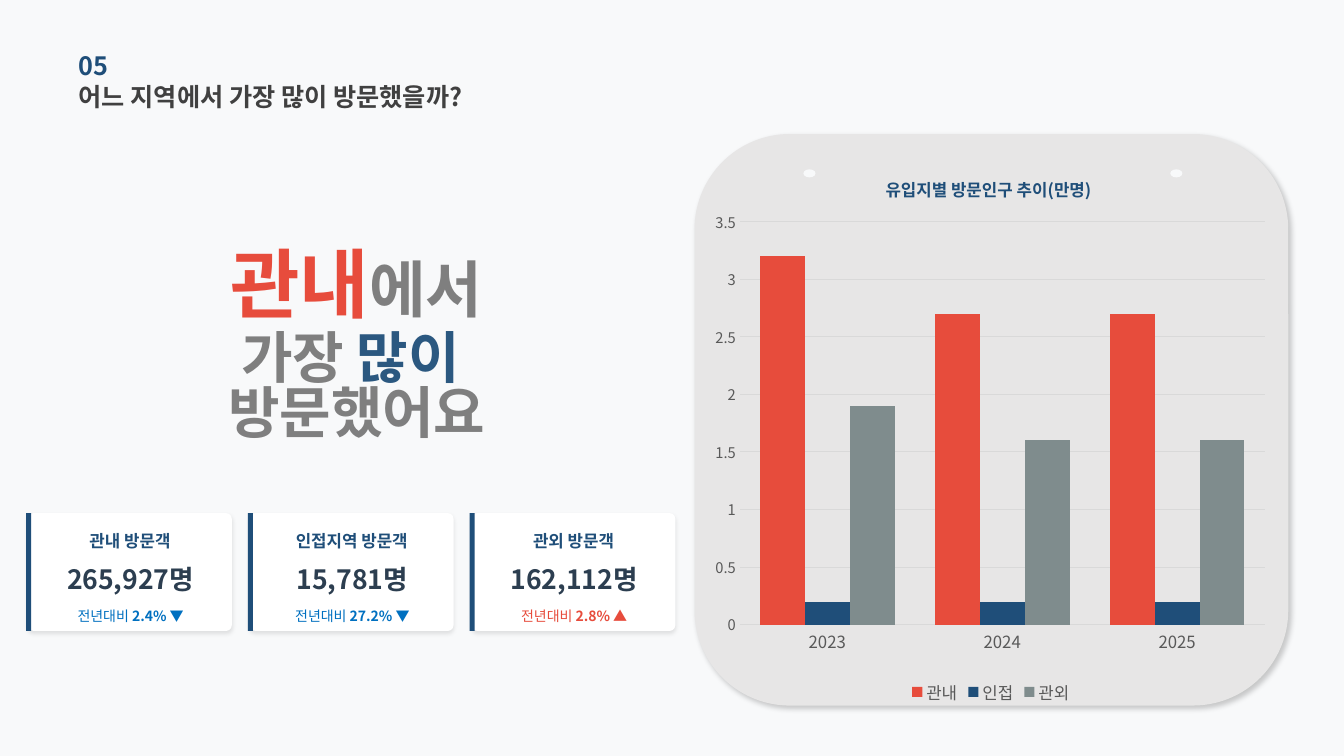
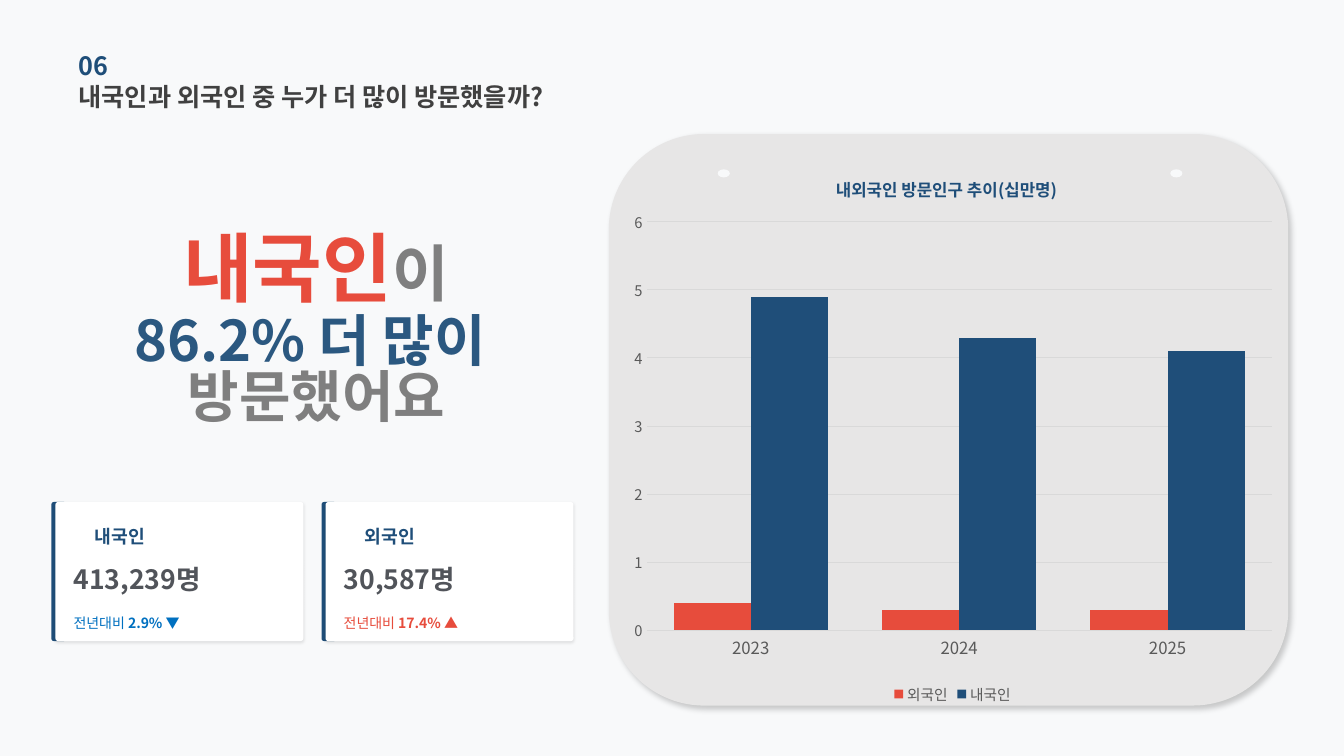
from dataclasses import dataclass

from lxml.etree import SubElement
from pptx import Presentation
from pptx.chart.data import CategoryChartData
from pptx.dml.color import RGBColor
from pptx.enum.chart import XL_CHART_TYPE, XL_LEGEND_POSITION, XL_TICK_MARK
from pptx.enum.shapes import MSO_SHAPE
from pptx.enum.text import MSO_ANCHOR, MSO_AUTO_SIZE, PP_ALIGN
from pptx.oxml import parse_xml
from pptx.oxml.ns import nsdecls, qn
from pptx.util import Emu, Inches, Pt

# Grid: every column and row is a tenth of an inch
CELL = Inches(0.1)
COLUMNS, ROWS = 133.33, 75
PANEL_RIGHT = 127.8


@dataclass(frozen=True)
class Theme:
    """Colours and type sizes of the deck."""
    font: str = "Noto Sans CJK KR"
    background: str = "F8F9FA"
    panel: str = "E7E6E6"
    card: str = "FFFFFF"
    navy: str = "1F4E79"
    blue: str = "2B5880"
    red: str = "E74C3C"
    down: str = "0070C0"
    slate: str = "7F8C8D"
    heading: str = "404040"
    muted: str = "7F7F7F"
    axis: str = "595959"
    grid: str = "D9D9D9"
    title_size: float = 18
    lead_size: float = 54
    particle_size: float = 44
    headline_size: float = 40
    number_size: float = 19
    change_size: float = 10
    chart_size: float = 12
    value_size: float = 10.5


@dataclass(frozen=True)
class CardStyle:
    """Size and text rows of one kind of card; rows are (top, height)."""
    width: float
    height: float
    corner: float
    shadow: tuple
    bar_shape: int
    bar_offset: float
    bar_width: float
    bar_in_front: bool
    align: int
    label_indent: float
    text_indent: float
    label_row: tuple
    number_row: tuple
    change_row: tuple
    label_size: float
    number_color: str


THEME = Theme()
CENTERED_CARD = CardStyle(
    width=20.2, height=11.7, corner=0.05, shadow=(10, 3, 2, 90),
    bar_shape=MSO_SHAPE.RECTANGLE, bar_offset=-0.2, bar_width=0.5, bar_in_front=True,
    align=PP_ALIGN.CENTER, label_indent=0, text_indent=0.1,
    label_row=(1.6, 2.2), number_row=(4.8, 3.4), change_row=(9.2, 2),
    label_size=12, number_color="2C3E50")
LEFT_CARD = CardStyle(
    width=24.6, height=13.8, corner=0.02, shadow=(10, 2, 1, 90),
    bar_shape=MSO_SHAPE.ROUNDED_RECTANGLE, bar_offset=-0.4, bar_width=1.5, bar_in_front=False,
    align=PP_ALIGN.LEFT, label_indent=3.9, text_indent=1.8,
    label_row=(2, 2.8), number_row=(5.7, 3.9), change_row=(9.7, 4.5),
    label_size=13, number_color="51545A")


def grid(*lengths):
    """Turn columns and rows into slide lengths."""
    return [Emu(round(length * CELL)) for length in lengths]


def format_font(font, size, color, bold=False):
    """Format a font for both Latin and Korean text."""
    font.size, font.bold, font.name = Pt(size), bold, THEME.font
    font.color.rgb = RGBColor.from_string(color)
    SubElement(font._rPr, qn("a:ea")).set("typeface", THEME.font)


def write_text(shape, lines, align=PP_ALIGN.LEFT, spacing=None):
    """Write lines of (text, size, colour, bold) runs without margins."""
    frame = shape.text_frame
    frame.word_wrap, frame.auto_size = True, MSO_AUTO_SIZE.NONE
    frame.vertical_anchor = MSO_ANCHOR.MIDDLE
    frame.margin_left = frame.margin_right = frame.margin_top = frame.margin_bottom = 0
    for index, runs in enumerate(lines):
        paragraph = frame.add_paragraph() if index else frame.paragraphs[0]
        paragraph.alignment = align
        paragraph.line_spacing = spacing
        for text, size, color, bold in runs:
            run = paragraph.add_run()
            run.text = text
            format_font(run.font, size, color, bold)


def place_in_chart(element, **shares):
    """Fix a chart part at shares (x, y, w, h) of the chart's size."""
    old = element.find(qn("c:layout"))
    if old is not None:
        element.remove(old)
    target = '<c:layoutTarget val="inner"/>' if "w" in shares else ""
    modes = "".join(f'<c:{key}Mode val="edge"/>' for key in "xy")
    values = "".join(f'<c:{key} val="{value}"/>' for key, value in shares.items())
    layout = parse_xml(f'<c:layout {nsdecls("c")}><c:manualLayout>{target}{modes}{values}'
                       "</c:manualLayout></c:layout>")
    element.insert(0 if element.find(qn("c:tx")) is None else 1, layout)


class Deck:
    """Holds the presentation, its style and the current slide."""

    def __init__(self):
        self.presentation = Presentation()
        self.presentation.slide_width, self.presentation.slide_height = grid(COLUMNS, ROWS)
        fill = self.presentation.slide_master.background.fill
        fill.solid()
        fill.fore_color.rgb = RGBColor.from_string(THEME.background)
        self.slide = None

    def add_slide(self, number, title):
        self.slide = self.presentation.slides.add_slide(self.presentation.slide_layouts[5])
        shape = self.slide.shapes.title
        shape.left, shape.top, shape.width, shape.height = grid(7.8, 7.5, 52.8, 4.1)
        write_text(shape, [[(title, THEME.title_size, THEME.heading, True)]])
        self.text((7.8, 4.4, 45.2, 4.1), [[(number, THEME.title_size, THEME.navy, True)]])

    def text(self, box, lines, **options):
        write_text(self.slide.shapes.add_textbox(*grid(*box)), lines, **options)

    def shape(self, kind, box, color, corner=None, shadow=None):
        shape = self.slide.shapes.add_shape(kind, *grid(*box))
        shape.shadow.inherit = False
        shape.fill.solid()
        shape.fill.fore_color.rgb = RGBColor.from_string(color)
        shape.line.fill.background()
        if corner is not None:
            shape.adjustments[0] = corner
        if shadow:
            opacity, blur, distance, angle = shadow
            effects = shape._element.spPr.find(qn("a:effectLst"))
            effects.append(parse_xml(
                f'<a:outerShdw {nsdecls("a")} blurRad="{Pt(blur)}" dist="{Pt(distance)}" '
                f'dir="{angle * 60000}" algn="ctr" rotWithShape="0"><a:srgbClr val="000000">'
                f'<a:alpha val="{opacity * 1000}"/></a:srgbClr></a:outerShdw>'))

    def panel(self, left):
        """Grey board with two pin holes."""
        self.shape(MSO_SHAPE.ROUNDED_RECTANGLE, (left, 13.3, PANEL_RIGHT - left, 56.7),
                   THEME.panel, shadow=(20, 4, 3, 45))
        for hole_left in (left + 10.8, PANEL_RIGHT - 11.7):
            self.shape(MSO_SHAPE.OVAL, (hole_left, 16.8, 1.2, 0.8), THEME.background)

    def headline(self, left, top, subject, particle, lines):
        """Large statement: a coloured subject, then two lines below."""
        self.text((left + 6.1, top, 42.9, 4.8),
                  [[(subject, THEME.lead_size, THEME.red, True),
                    (particle, THEME.particle_size, THEME.muted, True)]], align=PP_ALIGN.CENTER)
        self.text((left, top + 8.8, 55.2, 8.4),
                  [[(text, THEME.headline_size, color, True) for text, color in line]
                   for line in lines], align=PP_ALIGN.CENTER, spacing=0.82)

    def card(self, style, left, top, label, number, change, color):
        def bar():
            self.shape(style.bar_shape, (left + style.bar_offset, top, style.bar_width,
                                         style.height), THEME.navy)

        if not style.bar_in_front:
            bar()
        self.shape(MSO_SHAPE.ROUNDED_RECTANGLE, (left, top, style.width, style.height),
                   THEME.card, style.corner, style.shadow)
        rows = [
            (style.label_indent, style.label_row, [(label, style.label_size, THEME.navy, True)]),
            (style.text_indent, style.number_row,
             [(number, THEME.number_size, style.number_color, True)]),
            (style.text_indent, style.change_row,
             [("전년대비 ", THEME.change_size, color, False),
              (change, THEME.change_size, color, True)]),
        ]
        for indent, (offset, height), runs in rows:
            self.text((left + indent, top + offset, style.width - indent, height),
                      [runs], align=style.align)
        if style.bar_in_front:
            bar()

    def cards(self, style, left, top, pitch, entries):
        for index, entry in enumerate(entries):
            self.card(style, left + index * pitch, top, *entry)

    def chart(self, box, title, series, gap, maximum, step, legend_size, title_x, plot):
        data = CategoryChartData()
        data.categories = ["2023", "2024", "2025"]
        for name, values, _ in series:
            data.add_series(name, values)
        chart = self.slide.shapes.add_chart(
            XL_CHART_TYPE.COLUMN_CLUSTERED, *grid(*box), data).chart
        format_font(chart.font, THEME.change_size, THEME.axis)

        # Title and legend
        chart.has_title = True
        paragraph = chart.chart_title.text_frame.paragraphs[0]
        run = paragraph.add_run()
        run.text = title
        format_font(run.font, THEME.chart_size, THEME.navy, True)
        chart.chart_title.include_in_layout = False
        place_in_chart(chart.chart_title._element, x=title_x, y=0.04)
        chart.has_legend = True
        chart.legend.position = XL_LEGEND_POSITION.BOTTOM
        chart.legend.include_in_layout = False
        format_font(chart.legend.font, legend_size, THEME.axis)

        # Axes
        category_axis, value_axis = chart.category_axis, chart.value_axis
        value_axis.minimum_scale, value_axis.maximum_scale = 0, maximum
        value_axis.major_unit = step
        value_axis.has_major_gridlines = True
        value_axis.format.line.fill.background()
        for axis, size in ((category_axis, THEME.chart_size), (value_axis, THEME.value_size)):
            axis.major_tick_mark = axis.minor_tick_mark = XL_TICK_MARK.NONE
            format_font(axis.tick_labels.font, size, THEME.axis)
        for line in (category_axis.format.line, value_axis.major_gridlines.format.line):
            line.color.rgb = RGBColor.from_string(THEME.grid)
            line.width = Pt(0.75)

        # Columns
        columns = chart.plots[0]
        columns.gap_width, columns.overlap, columns.vary_by_categories = gap, 0, False
        for column, (_, _, color) in zip(columns.series, series):
            column.format.fill.solid()
            column.format.fill.fore_color.rgb = RGBColor.from_string(color)
        place_in_chart(chart._chartSpace.chart.plotArea, **plot)


def add_region_slide(deck):
    deck.add_slide("05", "어느 지역에서 가장 많이 방문했을까?")
    deck.panel(68.9)
    deck.headline(7.8, 25.6, "관내", "에서",
                  [[("가장", THEME.muted), (" 많이 ", THEME.blue)], [("방문했어요", THEME.muted)]])
    deck.cards(CENTERED_CARD, 2.8, 50.9, 22, [
        ("관내 방문객", "265,927명", "2.4% ▼", THEME.down),
        ("인접지역 방문객", "15,781명", "27.2% ▼", THEME.down),
        ("관외 방문객", "162,112명", "2.8% ▲", THEME.red)])
    deck.chart((70, 14.8, 56.6, 55.5), "유입지별 방문인구 추이(만명)", [
        ("관내", (3.2, 2.7, 2.7), THEME.red),
        ("인접", (0.2, 0.2, 0.2), THEME.navy),
        ("관외", (1.9, 1.6, 1.6), THEME.slate)],
        gap=90, maximum=3.5, step=0.5, legend_size=THEME.chart_size, title_x=0.31,
        plot={"x": 0.06, "y": 0.13, "w": 0.92, "h": 0.72})


def add_nationality_slide(deck):
    deck.add_slide("06", "내국인과 외국인 중 누가 더 많이 방문했을까?")
    deck.panel(60.4)
    deck.headline(3.8, 24, "내국인", "이",
                  [[("86.2% 더 많이 ", THEME.blue)], [("방문했어요", THEME.muted)]])
    deck.cards(LEFT_CARD, 5.5, 49.8, 26.8, [
        ("내국인", "413,239명", "2.9% ▼", THEME.down),
        ("외국인", "30,587명", "17.4% ▲", THEME.red)])
    deck.chart((61.5, 14.8, 66, 55.5), "내외국인 방문인구 추이(십만명)", [
        ("외국인", (0.4, 0.3, 0.3), THEME.red),
        ("내국인", (4.9, 4.3, 4.1), THEME.navy)],
        gap=70, maximum=6, step=1, legend_size=THEME.value_size, title_x=0.32,
        plot={"x": 0.04, "y": 0.13, "w": 0.94, "h": 0.73})


def main():
    deck = Deck()
    add_region_slide(deck)
    add_nationality_slide(deck)
    deck.presentation.save("out.pptx")


if __name__ == "__main__":
    main()
